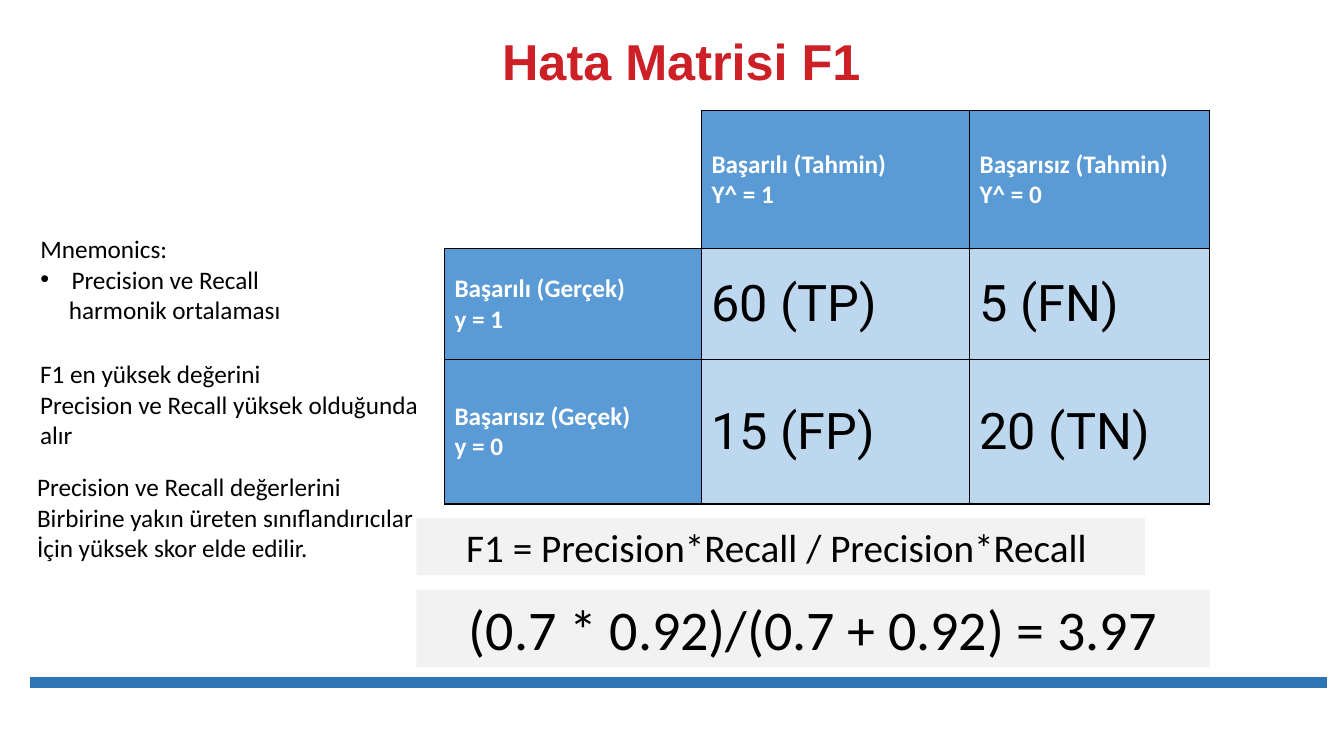
from lxml import etree
from pptx import Presentation
from pptx.dml.color import RGBColor
from pptx.enum.shapes import MSO_CONNECTOR, MSO_SHAPE
from pptx.enum.text import MSO_ANCHOR, MSO_AUTO_SIZE, PP_ALIGN
from pptx.oxml.ns import qn
from pptx.util import Pt

STRAIGHT = MSO_CONNECTOR.STRAIGHT
RECTANGLE = MSO_SHAPE.RECTANGLE
MIDDLE, TOP = MSO_ANCHOR.MIDDLE, MSO_ANCHOR.TOP
LEFT, CENTER = PP_ALIGN.LEFT, PP_ALIGN.CENTER
NO_AUTOFIT = MSO_AUTO_SIZE.NONE

COLORS = {
    "title": "CD1F26", "rule": "2E75B6", "header": "5B9BD5", "value": "BDD7EE",
    "panel": "F2F2F2", "black": "000000", "white": "FFFFFF",
}

MATRIX = [
    ["", "Başarılı (Tahmin)\nY^ = 1", "Başarısız (Tahmin)\nY^ = 0"],
    ["Başarılı (Gerçek)\ny = 1", "60 (TP)", "5 (FN)"],
    ["Başarısız (Geçek)\ny = 0", "15 (FP)", "20 (TN)"],
]
COLUMN_WIDTHS = [183.6, 191.5, 171.4]
ROW_HEIGHTS = [98.6, 79.2, 103]


def color(name):
    return RGBColor.from_string(COLORS[name])


def write(frame, text, size, ink="black", font="Calibri", bold=False, align=LEFT):
    frame.text = text
    for para in frame.paragraphs:
        para.alignment = align
        para.space_before = Pt(0)
        para.font.size = Pt(size)
        para.font.name = font
        para.font.bold = bold
        para.font.color.rgb = color(ink)


def place(shape, left, top, width, height):
    shape.left, shape.top = Pt(left), Pt(top)
    shape.width, shape.height = Pt(width), Pt(height)


def set_bullet(para, indent=0, char=None):
    props = para._p.get_or_add_pPr()
    props.set("marL", str(Pt(indent)))
    props.set("indent", str(-Pt(indent) if char else 0))
    if char:
        font = etree.Element(qn("a:buFont"), typeface="Arial")
        bullet = etree.Element(qn("a:buChar"), char=char)
        marks = [font, bullet]
    else:
        marks = [etree.Element(qn("a:buNone"))]
    # Bullet marks come after spacing and before default run properties
    defaults = props.find(qn("a:defRPr"))
    for mark in marks:
        if defaults is None:
            props.append(mark)
        else:
            defaults.addprevious(mark)


def add_title(page, text):
    title = page.shapes.title
    place(title, 154.8, 22.3, 663.8, 46.8)
    frame = title.text_frame
    write(frame, text, 36, "title", "Arial", True, CENTER)
    frame.paragraphs[0].line_spacing = 0.9
    frame.vertical_anchor = MIDDLE
    frame.auto_size = NO_AUTOFIT


def add_list(page):
    body = page.placeholders[1]
    place(body, 21.6, 163.4, 187.9, 72.7)
    frame = body.text_frame
    write(frame, "Mnemonics:\nPrecision ve Recall\nharmonik ortalaması", 18)
    frame.vertical_anchor = TOP
    frame.auto_size = NO_AUTOFIT
    frame.word_wrap = False
    heading, item, rest = frame.paragraphs
    set_bullet(heading)
    set_bullet(item, 22.3, "•")
    set_bullet(rest, 20.4)


def add_note(page, text, left, top, width, height):
    box = page.shapes.add_textbox(Pt(left), Pt(top), Pt(width), Pt(height))
    box.text_frame.word_wrap = False
    write(box.text_frame, text, 18)


def add_panel(page, text, size, top, width, height):
    panel = page.shapes.add_shape(RECTANGLE, Pt(297.4), Pt(top), Pt(width), Pt(height))
    panel.shadow.inherit = False
    panel.fill.solid()
    panel.fill.fore_color.rgb = color("panel")
    panel.line.fill.background()
    panel.text_frame.word_wrap = True
    panel.text_frame.vertical_anchor = TOP
    write(panel.text_frame, text, size, align=CENTER)


def add_rule(page, left, right, y):
    rule = page.shapes.add_connector(STRAIGHT, Pt(left), Pt(y), Pt(right), Pt(y))
    rule.line.color.rgb = color("rule")
    rule.line.width = Pt(8)
    etree.SubElement(rule._element.spPr, qn("a:effectLst"))


def set_borders(cell, sides):
    props = cell._tc.get_or_add_tcPr()
    for side in sides:
        line = etree.SubElement(props, qn(f"a:ln{side}"), w=str(Pt(1)))
        fill = etree.SubElement(line, qn("a:solidFill"))
        etree.SubElement(fill, qn("a:srgbClr"), val=COLORS["black"])


def add_matrix(page):
    table = page.shapes.add_table(
        len(ROW_HEIGHTS), len(COLUMN_WIDTHS), Pt(317.5), Pt(79.2),
        Pt(sum(COLUMN_WIDTHS)), Pt(sum(ROW_HEIGHTS))).table
    table.first_row = table.horz_banding = False
    for column, width in zip(table.columns, COLUMN_WIDTHS):
        column.width = Pt(width)
    for row, height in zip(table.rows, ROW_HEIGHTS):
        row.height = Pt(height)
    for r, texts in enumerate(MATRIX):
        for c, text in enumerate(texts):
            cell = table.cell(r, c)
            if not text:
                set_borders(cell, "RB")
                cell.fill.background()
                continue
            is_value = r > 0 and c > 0
            set_borders(cell, "LRTB")
            cell.fill.solid()
            cell.fill.fore_color.rgb = color("value" if is_value else "header")
            cell.vertical_anchor = MIDDLE
            if is_value:
                write(cell.text_frame, text, 36, font="Roboto")
            else:
                write(cell.text_frame, text, 18, "white", bold=True)


def main():
    deck = Presentation()
    deck.slide_width, deck.slide_height = Pt(960), Pt(540)
    page = deck.slides.add_slide(deck.slide_layouts[1])

    # Title and bottom rule
    add_title(page, "Hata Matrisi F1")
    add_rule(page, 21.6, 948.2, 487.4)

    # Confusion matrix and F1 formulas
    add_matrix(page)
    add_panel(page, "F1 = Precision*Recall / Precision*Recall ", 28, 370.1, 520.6, 41)
    add_panel(page, "(0.7 * 0.92)/(0.7 + 0.92) = 3.97", 40, 421.2, 566.6, 55.4)

    # Explanations on the left
    add_list(page)
    add_note(page, "F1 en yüksek değerini\nPrecision ve Recall yüksek olduğunda\nalır",
             21.6, 252.7, 294.5, 72.7)
    add_note(page, "Precision ve Recall değerlerini\nBirbirine yakın üreten "
             "sınıflandırıcılar\nİçin yüksek skor elde edilir.",
             19.4, 333.4, 286.6, 72.7)

    deck.save("out.pptx")


if __name__ == "__main__":
    main()
